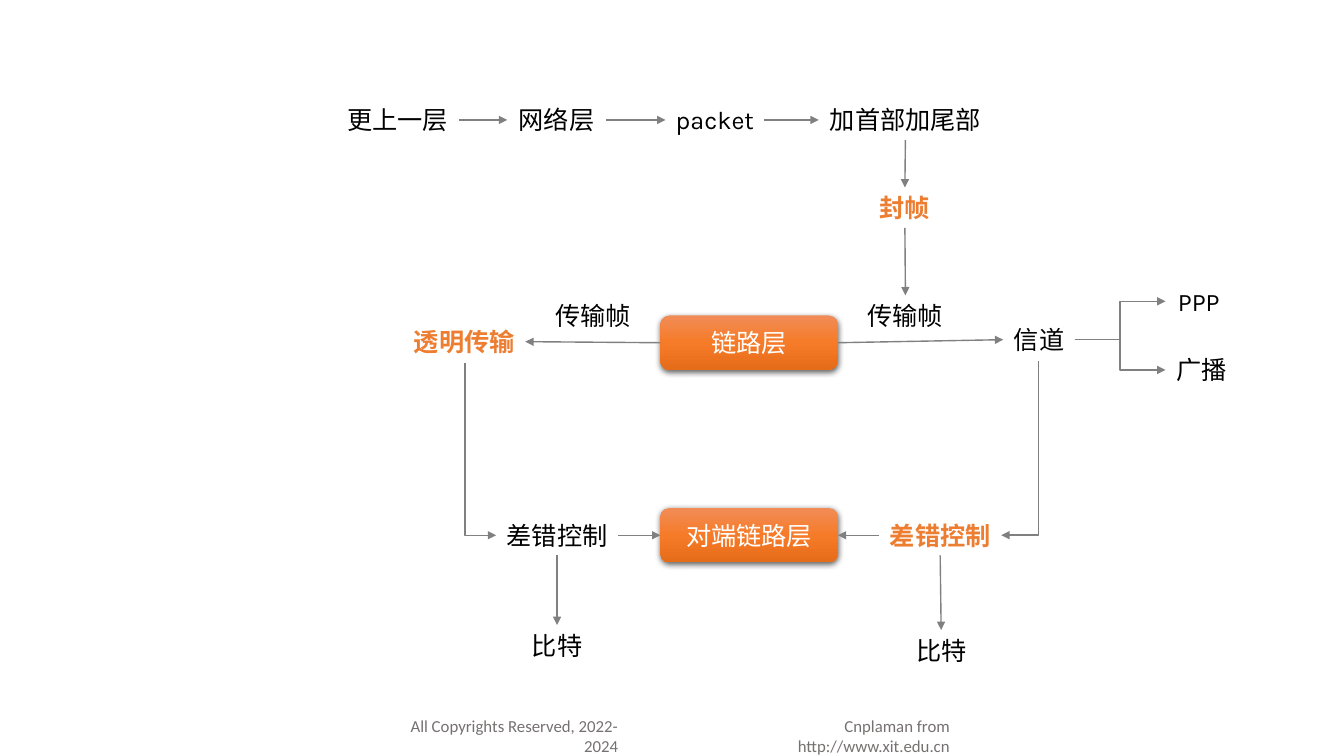
from copy import deepcopy

from pptx import Presentation
from pptx.dml.color import RGBColor
from pptx.enum.shapes import MSO_CONNECTOR, MSO_SHAPE
from pptx.enum.text import MSO_ANCHOR, MSO_AUTO_SIZE, PP_ALIGN
from pptx.oxml import parse_xml
from pptx.oxml.ns import nsdecls, qn
from pptx.util import Inches, Pt

BLACK = RGBColor(0x00, 0x00, 0x00)
WHITE = RGBColor(0xFF, 0xFF, 0xFF)
ORANGE = RGBColor(0xED, 0x7D, 0x31)
ARROW_GRAY = RGBColor(0x80, 0x80, 0x80)
FOOTER_GRAY = RGBColor(0x76, 0x71, 0x71)
LAYER_GRADIENT = [
    (0, RGBColor(0xF1, 0x8C, 0x57)),
    (0.5, RGBColor(0xF6, 0x7B, 0x28)),
    (1, RGBColor(0xE5, 0x6C, 0x19)),
]
CJK_FONT = "Noto Sans CJK SC"
TOP, LEFT, BOTTOM, RIGHT = range(4)  # connection sites of a rectangle


def write(shape, text, font_name, size, color, align, bold=False):
    frame = shape.text_frame
    frame.text = text
    paragraph = frame.paragraphs[0]
    paragraph.alignment = align
    run = paragraph.runs[0]
    run.font.name = font_name
    run.font.size = Pt(size)
    run.font.color.rgb = color
    if bold:
        run.font.bold = True
    run.font._element.append(
        parse_xml(f'<a:ea {nsdecls("a")} typeface="{CJK_FONT}"/>'))


def style_arrow(arrow):
    arrow.line.color.rgb = ARROW_GRAY
    arrow.line.width = Pt(1)
    arrow.line._get_or_add_ln().append(
        parse_xml(f'<a:tailEnd {nsdecls("a")} type="triangle"/>'))
    arrow._element.spPr.append(parse_xml(f'<a:effectLst {nsdecls("a")}/>'))


prs = Presentation()
prs.slide_width = Inches(13.33)
prs.slide_height = Inches(7.5)
slide = prs.slides.add_slide(prs.slide_layouts[6])
shapes = slide.shapes

# Footer
for text, left, width in [
    ("Cnplaman from http://www.xit.edu.cn", 6.94, 2.58),
    ("All Copyrights Reserved, 2022-2024", 3.81, 2.42),
]:
    footer = shapes.add_textbox(Inches(left), Inches(7.05), Inches(width), Inches(0.3))
    footer.text_frame.word_wrap = True
    write(footer, text, "Calibri", 12, FOOTER_GRAY, PP_ALIGN.RIGHT)

nodes = {}

# Link layers at both ends
for key, text, top in [("link", "链路层", 3.13), ("peer", "对端链路层", 5.04)]:
    layer = shapes.add_shape(MSO_SHAPE.ROUNDED_RECTANGLE,
                             Inches(6.55), Inches(top), Inches(1.76), Inches(0.54))
    layer.fill.gradient()
    layer.fill.gradient_angle = 270
    stop_list = layer._element.spPr.find(qn("a:gradFill")).find(qn("a:gsLst"))
    stop_list.append(deepcopy(stop_list[0]))
    for stop, (position, color) in zip(layer.fill.gradient_stops, LAYER_GRADIENT):
        stop.position = position
        stop.color.rgb = color
    layer.line.fill.background()
    layer.shadow.inherit = False
    layer._element.spPr.find(qn("a:effectLst")).append(parse_xml(
        f'<a:outerShdw {nsdecls("a")} blurRad="{Pt(4.5)}" dist="{Pt(1.5)}" '
        'dir="5400000" algn="ctr" rotWithShape="0"><a:srgbClr val="000000">'
        '<a:alpha val="63000"/></a:srgbClr></a:outerShdw>'))
    layer.text_frame.vertical_anchor = MSO_ANCHOR.MIDDLE
    write(layer, text, CJK_FONT, 18, WHITE, PP_ALIGN.CENTER)
    nodes[key] = layer

# Labels: key, text, left, top, width, emphasized
for key, text, left, top, width, emphasized in [
    ("upper", "更上一层", 3.34, 0.99, 1.21, False),
    ("network", "网络层", 5.03, 0.99, 0.98, False),
    ("packet", "packet", 6.6, 0.99, 0.98, False),
    ("header", "加首部加尾部", 8.12, 0.99, 1.72, False),
    ("framing", "封帧", 8.62, 1.86, 0.71, True),
    ("frame right", "传输帧", 8.5, 2.93, 0.96, False),
    ("frame left", "传输帧", 5.4, 2.93, 0.96, False),
    ("transparent", "透明传输", 4, 3.19, 1.21, True),
    ("channel", "信道", 9.95, 3.17, 0.71, False),
    ("ppp", "PPP", 11.56, 2.79, 0.66, False),
    ("broadcast", "广播", 11.56, 3.47, 0.71, False),
    ("check left", "差错控制", 4.92, 5.11, 1.21, False),
    ("check right", "差错控制", 8.72, 5.11, 1.21, True),
    ("bits left", "比特", 5.17, 6.2, 0.71, False),
    ("bits right", "比特", 8.98, 6.25, 0.71, False),
]:
    label = shapes.add_textbox(Inches(left), Inches(top), Inches(width), Inches(0.4))
    label.text_frame.word_wrap = False
    label.text_frame.auto_size = MSO_AUTO_SIZE.SHAPE_TO_FIT_TEXT
    write(label, text, "Karla", 18, ORANGE if emphasized else BLACK,
          PP_ALIGN.CENTER, emphasized)
    nodes[key] = label

# Arrows from one node to the next
for kind, start, start_site, end, end_site in [
    (MSO_CONNECTOR.STRAIGHT, "upper", RIGHT, "network", LEFT),
    (MSO_CONNECTOR.STRAIGHT, "network", RIGHT, "packet", LEFT),
    (MSO_CONNECTOR.STRAIGHT, "packet", RIGHT, "header", LEFT),
    (MSO_CONNECTOR.STRAIGHT, "header", BOTTOM, "framing", TOP),
    (MSO_CONNECTOR.STRAIGHT, "framing", BOTTOM, "frame right", TOP),
    (MSO_CONNECTOR.STRAIGHT, "link", RIGHT, "channel", LEFT),
    (MSO_CONNECTOR.STRAIGHT, "link", LEFT, "transparent", RIGHT),
    (MSO_CONNECTOR.STRAIGHT, "check left", RIGHT, "peer", LEFT),
    (MSO_CONNECTOR.STRAIGHT, "check right", LEFT, "peer", RIGHT),
    (MSO_CONNECTOR.STRAIGHT, "check left", BOTTOM, "bits left", TOP),
    (MSO_CONNECTOR.STRAIGHT, "check right", BOTTOM, "bits right", TOP),
    (MSO_CONNECTOR.ELBOW, "channel", RIGHT, "ppp", LEFT),
    (MSO_CONNECTOR.ELBOW, "channel", RIGHT, "broadcast", LEFT),
]:
    arrow = shapes.add_connector(kind, 0, 0, 0, 0)
    arrow.begin_connect(nodes[start], start_site)
    arrow.end_connect(nodes[end], end_site)
    style_arrow(arrow)

# Single-corner arrows down to error control, given by their unrotated frames
for begin_x, begin_y, end_x, end_y, degrees in [
    (5.62, 4.3, 3.91, 4.61, 270),
    (9.25, 4.26, 10.98, 4.63, 90),
]:
    corner = shapes.add_connector(MSO_CONNECTOR.ELBOW, Inches(begin_x), Inches(begin_y),
                                  Inches(end_x), Inches(end_y))
    properties = corner._element.spPr
    properties.find(qn("a:prstGeom")).set("prst", "bentConnector2")
    properties.find(qn("a:xfrm")).set("rot", str(degrees * 60000))
    style_arrow(corner)

prs.save("out.pptx")
